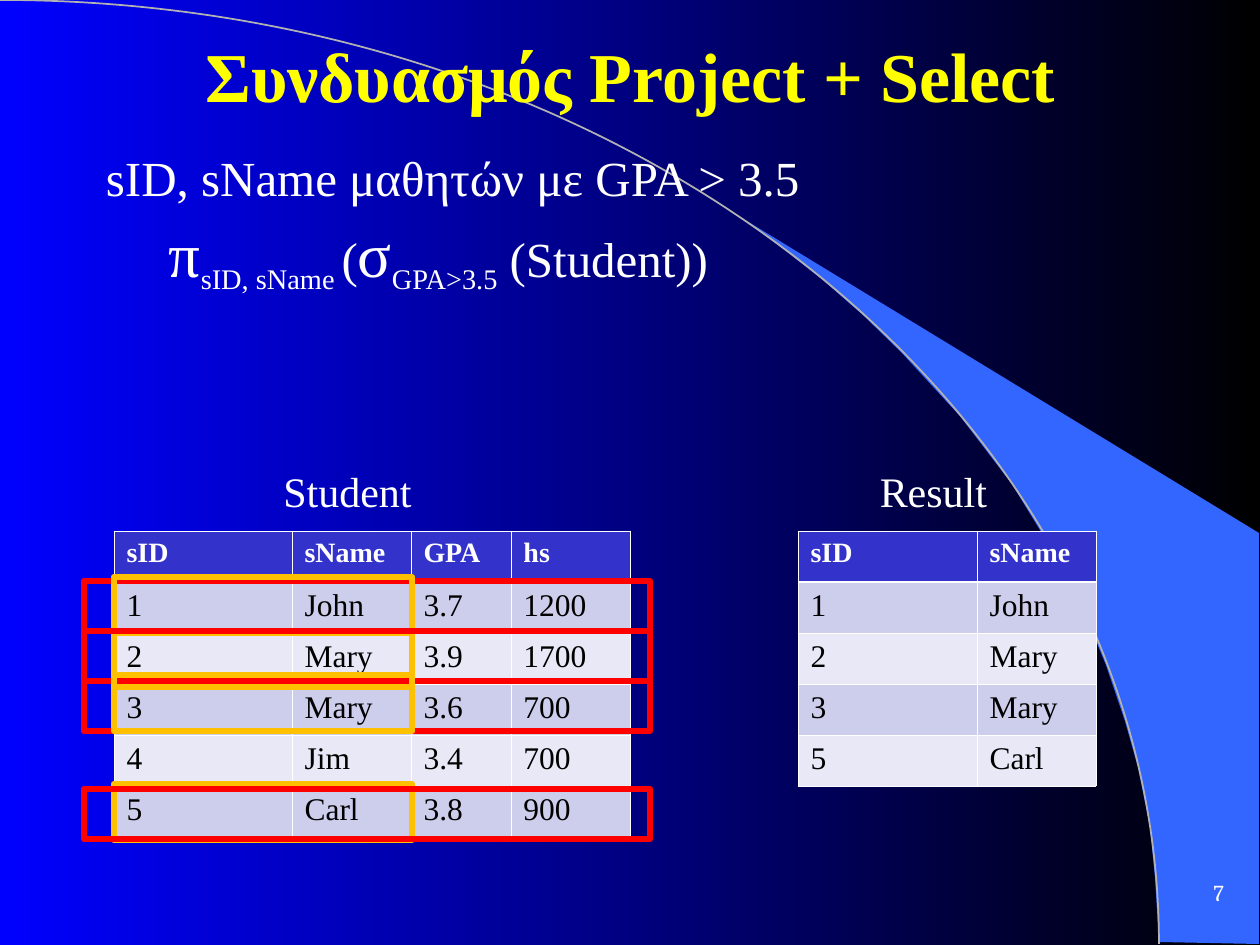
from dataclasses import dataclass, field
from typing import NamedTuple

from lxml.etree import SubElement
from pptx import Presentation
from pptx.dml.color import RGBColor as RGB
from pptx.enum.shapes import MSO_SHAPE as Preset
from pptx.enum.text import MSO_ANCHOR as Anchor, PP_ALIGN as Align
from pptx.oxml.ns import qn
from pptx.shapes.autoshape import Shape
from pptx.slide import Slide
from pptx.table import _Cell as Cell
from pptx.text.text import Font
from pptx.util import Emu, Pt

EMU_PER_PX = 914400 / 126


@dataclass(frozen=True)
class Theme:
    serif: str = "Times New Roman"
    number_font: str = "Cambria"
    white: str = "FFFFFF"
    black: str = "000000"
    night: str = "0000FF"
    title: str = "FFFF00"
    blade: str = "3366FF"
    arc: str = "B2B2B2"
    header: str = "3333CC"
    bands: tuple[str, str] = ("CDCDEC", "E8E8F6")
    selected: str = "FF0000"
    projected: str = "FFC000"
    title_size: float = 40
    symbol_size: float = 36
    body_size: float = 28
    caption_size: float = 24
    cell_size: float = 18
    header_size: float = 16
    number_size: float = 13
    frame_width: float = 3.75
    thin: float = 0.45
    thick: float = 1.47


THEME = Theme()


class Box(NamedTuple):
    left: int
    top: int
    width: int
    height: int


class Point(NamedTuple):
    x: int
    y: int


class Run(NamedTuple):
    text: str
    size: float
    subscript: bool = False


@dataclass(frozen=True)
class Label:
    box: Box
    paragraphs: list[list[Run]]
    color: str = THEME.white
    font: str = THEME.serif
    bold: bool = False
    frame: dict = field(default_factory=dict)
    paragraph: dict = field(default_factory=dict)


@dataclass(frozen=True)
class Relation:
    left: int
    columns: list[int]
    rows: list[list[str]]


class Frame(NamedTuple):
    top: int
    color: str


TABLE_TOP, ROW_HEIGHT = 531, 51
FRAME_SPAN = {THEME.selected: (84, 566, 50), THEME.projected: (114, 298, 56)}
BLADE = [Point(*pair) for pair in (
    (1159, 942), (1259, 944), (1259, 533), (742, 218), (786, 251), (823, 280),
    (863, 315), (902, 353), (960, 416), (1012, 484), (1048, 543), (1081, 604),
    (1106, 665), (1125, 721), (1138, 767), (1150, 827), (1155, 877),
)]
ARC = [Point(0, 0), Point(640, 0), Point(1159, 422), Point(1159, 944)]

HEADING = Label(Box(95, -4, 1071, 158), [[Run("Συνδυασμός Project + Select", THEME.title_size)]],
                color=THEME.title, bold=True, frame={"vertical_anchor": Anchor.MIDDLE},
                paragraph={"alignment": Align.CENTER})
QUERY = Label(Box(95, 148, 1131, 379), [
    [Run("sID, sName μαθητών με GPA > 3.5", THEME.body_size)],
    [Run("π", THEME.symbol_size), Run("sID, sName ", THEME.body_size, True),
     Run("(", THEME.body_size), Run("σ", THEME.symbol_size),
     Run("GPA>3.5", THEME.body_size, True), Run(" (Student))", THEME.body_size)],
], paragraph={"line_spacing": 0.9})
PAGE_NUMBER = Label(Box(1164, 861, 71, 63), [[Run("7", THEME.number_size)]], font=THEME.number_font,
                    frame={"vertical_anchor": Anchor.MIDDLE, "word_wrap": False},
                    paragraph={"alignment": Align.RIGHT})
CAPTIONS = [Label(Box(left, 460, 189, 63), [[Run(name, THEME.caption_size)]],
                  paragraph={"alignment": Align.CENTER})
            for left, name in ((253, "Student"), (839, "Result"))]

STUDENT = Relation(114, [178, 119, 100, 119], [
    ["sID", "sName", "GPA", "hs"],
    ["1", "John", "3.7", "1200"],
    ["2", "Mary", "3.9", "1700"],
    ["3", "Mary", "3.6", "700"],
    ["4", "Jim", "3.4", "700"],
    ["5", "Carl", "3.8", "900"],
])
RESULT = Relation(798, [179, 119], [
    ["sID", "sName"], ["1", "John"], ["2", "Mary"], ["3", "Mary"], ["5", "Carl"],
])
FRAMES = [
    Frame(581, THEME.selected), Frame(681, THEME.selected),
    Frame(577, THEME.projected), Frame(631, THEME.projected),
    Frame(631, THEME.selected), Frame(675, THEME.projected),
    Frame(784, THEME.projected), Frame(789, THEME.selected),
]


def px(length: float) -> Emu:
    return Emu(round(length * EMU_PER_PX))


def apply(target: object, values: dict) -> None:
    for name, value in values.items():
        setattr(target, name, value)


def style_font(font: Font, name: str, size: float, color: str, bold: bool) -> None:
    apply(font, {"name": name, "size": Pt(size), "bold": bold})
    font.color.rgb = RGB.from_string(color)


def draw_label(slide: Slide, label: Label) -> None:
    frame = slide.shapes.add_textbox(*map(px, label.box)).text_frame
    apply(frame, {"word_wrap": True, "margin_left": px(11), "margin_right": px(11),
                  "margin_top": px(6), "margin_bottom": px(6), **label.frame})
    for index, runs in enumerate(label.paragraphs):
        paragraph = frame.add_paragraph() if index else frame.paragraphs[0]
        apply(paragraph, label.paragraph)
        if index:
            paragraph.space_before = Pt(7)
            properties = paragraph._p.get_or_add_pPr()
            properties.set("marL", str(px(102)))
            properties.set("indent", str(px(-39)))
        for part in runs:
            run = paragraph.add_run()
            run.text = part.text
            style_font(run.font, label.font, part.size, label.color, label.bold)
            if part.subscript:
                run.font._element.set("baseline", "-25000")


def set_borders(cell: Cell, row: int) -> None:
    """White rules, with a thicker one between the header and the body."""
    thick_side = {0: "B", 1: "T"}.get(row)
    for side in "LRTB":
        width = THEME.thick if side == thick_side else THEME.thin
        line = SubElement(cell._tc.get_or_add_tcPr(), qn(f"a:ln{side}"), w=str(Pt(width)))
        SubElement(SubElement(line, qn("a:solidFill")), qn("a:srgbClr"), val=THEME.white)


def draw_relation(slide: Slide, relation: Relation) -> None:
    box = Box(relation.left, TABLE_TOP, sum(relation.columns), ROW_HEIGHT * len(relation.rows))
    table = slide.shapes.add_table(len(relation.rows), len(relation.columns), *map(px, box)).table
    for column, width in zip(table.columns, relation.columns):
        column.width = px(width)
    for row, values in enumerate(relation.rows):
        if row:
            fill, look = THEME.bands[(row - 1) % 2], (THEME.cell_size, THEME.black, False)
        else:
            fill, look = THEME.header, (THEME.header_size, THEME.white, True)
        for column, value in enumerate(values):
            cell = table.cell(row, column)
            cell.text = value
            set_borders(cell, row)
            cell.fill.solid()
            cell.fill.fore_color.rgb = RGB.from_string(fill)
            style_font(cell.text_frame.paragraphs[0].runs[0].font, THEME.serif, *look)


def outline(shape: Shape, color: str, width: float) -> None:
    shape.shadow.inherit = False
    shape.fill.background()
    shape.line.color.rgb = RGB.from_string(color)
    shape.line.width = Pt(width)


def draw_frame(slide: Slide, frame: Frame) -> None:
    left, width, height = FRAME_SPAN[frame.color]
    box = Box(left, frame.top, width, height)
    outline(slide.shapes.add_shape(Preset.RECTANGLE, *map(px, box)), frame.color, THEME.frame_width)


def draw_path(slide: Slide, points: list[Point], close: bool) -> Shape:
    builder = slide.shapes.build_freeform(*points[0], scale=EMU_PER_PX)
    builder.add_line_segments(points[1:], close=close)
    return builder.convert_to_shape()


def draw_arc(slide: Slide) -> None:
    """One Bézier segment, made by bending a straight one."""
    arc = draw_path(slide, [ARC[0], ARC[-1]], close=False)
    segment = next(arc._element.iter(qn("a:lnTo")))
    curve = SubElement(segment.getparent(), qn("a:cubicBezTo"))
    for point in ARC[1:]:
        SubElement(curve, qn("a:pt"), x=str(point.x), y=str(point.y))
    segment.getparent().remove(segment)
    outline(arc, THEME.arc, 1)


def draw_backdrop(slide: Slide) -> None:
    fill = slide.background.fill
    fill.gradient()
    fill.gradient_angle = 0
    for stop, color, position in zip(fill.gradient_stops, (THEME.night, THEME.black), (0, 1)):
        stop.color.rgb = RGB.from_string(color)
        stop.position = position
    blade = draw_path(slide, BLADE, close=True)
    blade.shadow.inherit = False
    blade.fill.solid()
    blade.fill.fore_color.rgb = RGB.from_string(THEME.blade)
    blade.line.fill.background()
    draw_arc(slide)


def main() -> None:
    deck = Presentation()
    apply(deck, {"slide_width": px(1260), "slide_height": px(945)})
    slide = deck.slides.add_slide(deck.slide_layouts[6])
    draw_backdrop(slide)
    for label in (PAGE_NUMBER, HEADING, QUERY, *CAPTIONS):
        draw_label(slide, label)
    for relation in (STUDENT, RESULT):
        draw_relation(slide, relation)
    for frame in FRAMES:
        draw_frame(slide, frame)
    deck.save("out.pptx")


if __name__ == "__main__":
    main()
